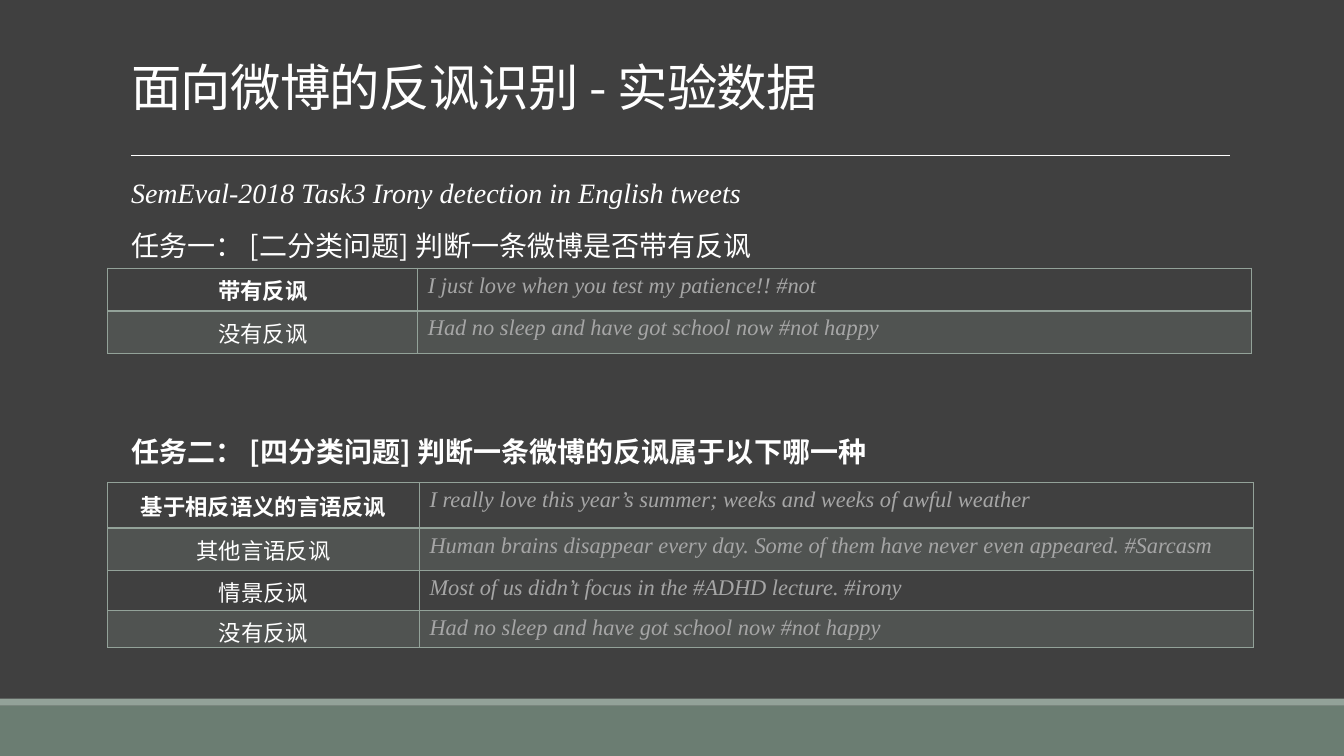
import pptx
import pptx.dml.color
import pptx.enum.shapes
import pptx.enum.text
import pptx.oxml.ns
import pptx.util
from lxml import etree

Pt = pptx.util.Pt
RGBColor = pptx.dml.color.RGBColor
qn = pptx.oxml.ns.qn

CHARCOAL = RGBColor(0x40, 0x40, 0x40)
GREEN = RGBColor(0x6B, 0x7D, 0x72)
SAGE = RGBColor(0x93, 0xA2, 0x99)
WHITE = RGBColor(0xFF, 0xFF, 0xFF)
GREY = RGBColor(0xA6, 0xA6, 0xA6)

CHINESE = "Noto Sans CJK SC"
ENGLISH = "Times New Roman"

BINARY_EXAMPLES = [
    ("带有反讽", "I just love when you test my patience!! #not"),
    ("没有反讽", "Had no sleep and have got school now #not happy"),
]
FOUR_CLASS_EXAMPLES = [
    ("基于相反语义的言语反讽", "I really love this year’s summer; weeks and weeks of awful weather"),
    ("其他言语反讽", "Human brains disappear every day. Some of them have never even appeared. #Sarcasm"),
    ("情景反讽", "Most of us didn’t focus in the #ADHD lecture. #irony"),
    ("没有反讽", "Had no sleep and have got school now #not happy"),
]


class SlideBuilder:
    def __init__(self, slide):
        self.slide = slide
        slide.background.fill.solid()
        slide.background.fill.fore_color.rgb = CHARCOAL

    def style(self, paragraph, face, size, color=WHITE, bold=False, italic=False, spacing=0):
        font = paragraph.font
        font.name, font.size, font.bold, font.italic = face, Pt(size), bold, italic
        font.color.rgb = color
        properties = paragraph._p.pPr.find(qn("a:defRPr"))
        properties.find(qn("a:latin")).addnext(
            etree.Element(qn("a:ea"), typeface=face))
        if spacing:
            properties.set("spc", str(int(spacing * 100)))

    def bar(self, top, height, color):
        bar = self.slide.shapes.add_shape(
            pptx.enum.shapes.MSO_SHAPE.RECTANGLE, 0, Pt(top), Pt(960), Pt(height))
        bar.shadow.inherit = False
        bar.fill.solid()
        bar.fill.fore_color.rgb = color
        bar.line.fill.background()

    def rule(self, left, right, y):
        rule = self.slide.shapes.add_connector(
            pptx.enum.shapes.MSO_CONNECTOR.STRAIGHT, Pt(left), Pt(y), Pt(right), Pt(y))
        rule.line.color.rgb = WHITE
        rule.line.width = Pt(0.5)
        etree.SubElement(rule._element.spPr, qn("a:effectLst"))

    def text(self, wording, top, height, face, size, **style):
        frame = self.slide.shapes.add_textbox(
            Pt(93.6), Pt(top), Pt(785), Pt(height)).text_frame
        frame.word_wrap = True
        frame.margin_left = frame.margin_right = 0
        frame.margin_top = frame.margin_bottom = 0
        paragraph = frame.paragraphs[0]
        paragraph.text = wording
        self.style(paragraph, face, size, **style)

    def cell(self, cell, wording, shaded, bottom_width, face, **style):
        paragraph = cell.text_frame.paragraphs[0]
        paragraph.text = wording
        self.style(paragraph, face, 16, **style)
        properties = cell._tc.get_or_add_tcPr()
        for side in ("L", "R", "T", "B"):
            width = bottom_width if side == "B" else 1
            border = etree.SubElement(properties, qn("a:ln" + side), w=str(Pt(width)))
            paint = etree.SubElement(border, qn("a:solidFill"))
            etree.SubElement(paint, qn("a:srgbClr"), val=str(SAGE))
        if shaded:
            cell.fill.solid()
            cell.fill.fore_color.rgb = SAGE
            tint = properties.find(qn("a:solidFill")).find(qn("a:srgbClr"))
            etree.SubElement(tint, qn("a:alpha"), val="20000")
        else:
            cell.fill.background()

    def table(self, examples, top, column_widths, row_heights):
        table = self.slide.shapes.add_table(
            len(examples), 2, Pt(77), Pt(top),
            Pt(sum(column_widths)), Pt(sum(row_heights))).table
        table.first_row = table.horz_banding = False
        for column, width in zip(table.columns, column_widths):
            column.width = Pt(width)
        for index, (label, tweet) in enumerate(examples):
            table.rows[index].height = Pt(row_heights[index])
            first = index == 0
            shaded = index % 2 == 1
            bottom_width = 2 if first else 1
            label_cell, tweet_cell = table.cell(index, 0), table.cell(index, 1)
            self.cell(label_cell, label, shaded, bottom_width, CHINESE, bold=first)
            label_cell.vertical_anchor = pptx.enum.text.MSO_ANCHOR.MIDDLE
            label_cell.text_frame.paragraphs[0].alignment = pptx.enum.text.PP_ALIGN.CENTER
            self.cell(tweet_cell, tweet, shaded, bottom_width, ENGLISH, color=GREY, italic=True)


def main():
    presentation = pptx.Presentation()
    presentation.slide_width = Pt(960)
    presentation.slide_height = Pt(540)
    builder = SlideBuilder(presentation.slides.add_slide(presentation.slide_layouts[6]))

    builder.bar(504, 36, GREEN)
    builder.bar(499, 5, SAGE)
    builder.rule(93.6, 878.4, 110.9)
    builder.text("面向微博的反讽识别 - 实验数据", 40, 52, CHINESE, 36, spacing=-0.5)
    builder.text("SemEval-2018 Task3 Irony detection in English tweets",
                 125.5, 24, ENGLISH, 20, italic=True)
    builder.text("任务一： [二分类问题] 判断一条微博是否带有反讽", 163.5, 29, CHINESE, 20)
    builder.text("任务二： [四分类问题] 判断一条微博的反讽属于以下哪一种",
                 310, 29, CHINESE, 20, bold=True)
    builder.table(BINARY_EXAMPLES, 191.5, (221.5, 595.5), (30.6, 30.6))
    builder.table(FOUR_CLASS_EXAMPLES, 344.9, (222.7, 595.5), (32.4, 30.2, 28.8, 24.5))

    presentation.save("out.pptx")


if __name__ == "__main__":
    main()
